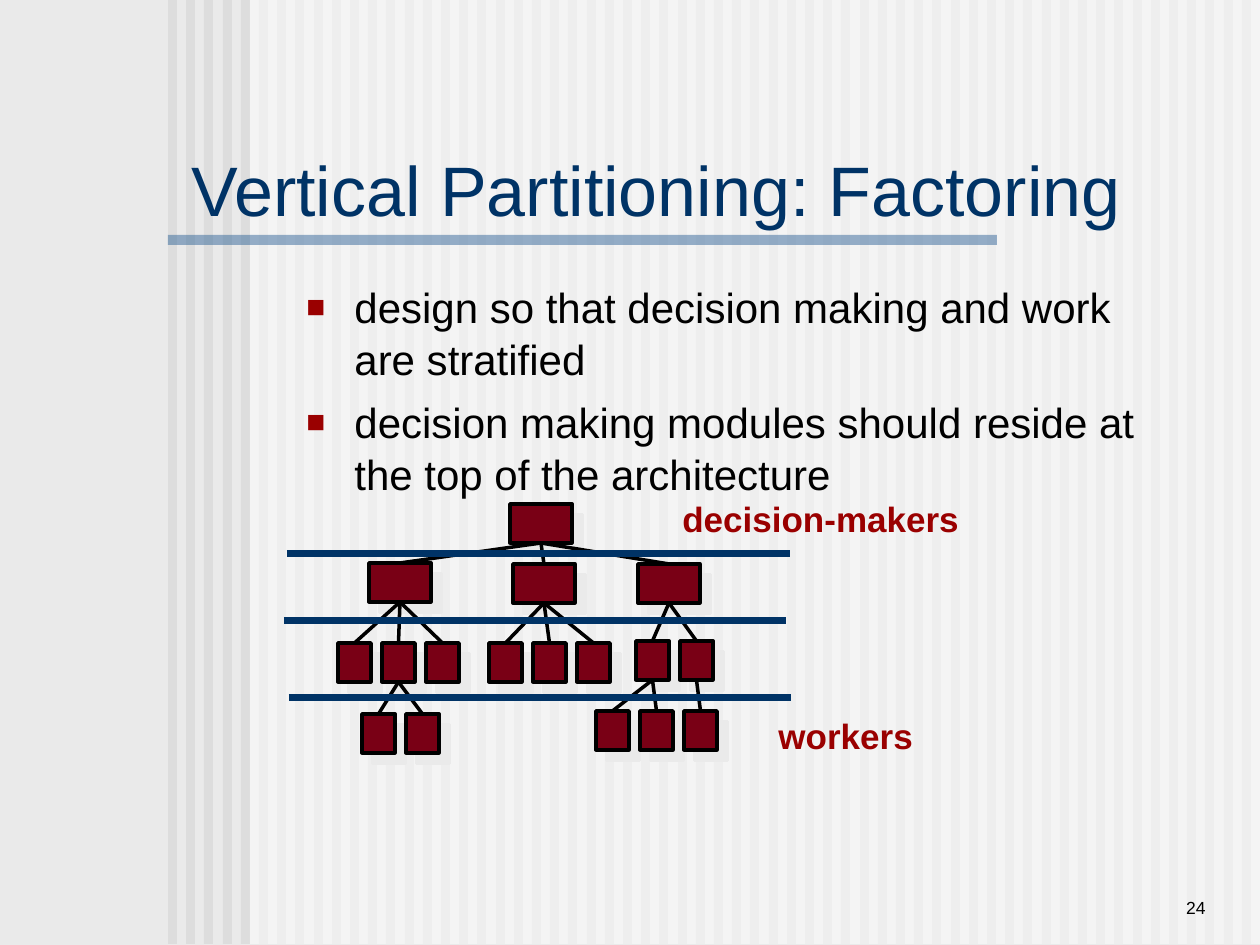
from dataclasses import dataclass

import lxml.etree
import pptx
import pptx.dml.color
import pptx.enum.shapes
import pptx.enum.text
import pptx.oxml.ns
import pptx.util
from pptx.dml.color import RGBColor

EMU_PER_PX = 914400 / 126
BACKGROUND = RGBColor(0xEA, 0xEA, 0xEA)
STRIPE = RGBColor(0xDD, 0xDD, 0xDD)
WHITE = RGBColor(0xFF, 0xFF, 0xFF)
BLACK = RGBColor(0x00, 0x00, 0x00)
NAVY = RGBColor(0x00, 0x33, 0x66)
STEEL = RGBColor(0x33, 0x66, 0x99)
RED = RGBColor(0x9A, 0x00, 0x00)
MAROON = RGBColor(0x79, 0x00, 0x15)

STRIPE_COUNT = 60
STRIPE_PITCH = 18.2
MODULE_HEIGHT = 39
MANAGER_WIDTH = 62
WORKER_WIDTH = 33
WORKER_PITCH = 44
BOTTOM, TOP = 2, 0

ALIGN = pptx.enum.text.PP_ALIGN
ANCHOR = pptx.enum.text.MSO_ANCHOR


@dataclass(frozen=True)
class Box:
    left: int
    top: int
    width: int
    height: int


@dataclass(frozen=True)
class Divider:
    left: int
    right: int
    y: int


@dataclass(frozen=True)
class WorkerRow:
    left: int
    top: int
    count: int


DIVIDERS = [Divider(284, 786, 621), Divider(289, 791, 698), Divider(287, 790, 554)]
ROOT = Box(510, 504, MANAGER_WIDTH, MODULE_HEIGHT)
MANAGERS = [
    Box(left, top, MANAGER_WIDTH, MODULE_HEIGHT)
    for left, top in ((369, 563), (513, 564), (638, 564))
]
TEAMS = [WorkerRow(338, 643, 3), WorkerRow(489, 643, 3), WorkerRow(636, 641, 2)]
LEFT_ASSISTANTS = WorkerRow(362, 714, 2)
RIGHT_ASSISTANTS = WorkerRow(596, 711, 3)


def px(length: float) -> int:
    return round(length * EMU_PER_PX)


def place(box: Box) -> tuple:
    return px(box.left), px(box.top), px(box.width), px(box.height)


def sub(parent, tag: str, **attributes):
    return lxml.etree.SubElement(parent, pptx.oxml.ns.qn(tag), attributes)


def add_rect(shapes, box: Box, color: RGBColor, opacity: int = 100):
    rect = shapes.add_shape(pptx.enum.shapes.MSO_SHAPE.RECTANGLE, *place(box))
    rect.shadow.inherit = False
    rect.fill.solid()
    rect.fill.fore_color.rgb = color
    rect.line.fill.background()
    if opacity < 100:
        fill_color = rect.element.spPr.find(".//" + pptx.oxml.ns.qn("a:srgbClr"))
        sub(fill_color, "a:alpha", val=str(opacity * 1000))
    return rect


def add_module(shapes, box: Box):
    module = add_rect(shapes, box, MAROON)
    module.line.color.rgb = BLACK
    module.line.width = pptx.util.Pt(2)
    effects = module.element.spPr.find(pptx.oxml.ns.qn("a:effectLst"))
    shadow = sub(effects, "a:outerShdw", blurRad="0", dist="107950",
                 dir="2700000", algn="ctr", rotWithShape="0")
    sub(shadow, "a:srgbClr", val=str(BACKGROUND))
    return module


def add_workers(shapes, row: WorkerRow) -> list:
    return [
        add_module(shapes, Box(row.left + i * WORKER_PITCH, row.top, WORKER_WIDTH, MODULE_HEIGHT))
        for i in range(row.count)
    ]


def add_line(shapes, divider: Divider, color: RGBColor, points: int):
    line = shapes.add_connector(
        pptx.enum.shapes.MSO_CONNECTOR.STRAIGHT,
        px(divider.left), px(divider.y), px(divider.right), px(divider.y),
    )
    line.line.color.rgb = color
    line.line.width = pptx.util.Pt(points)
    sub(line.element.spPr, "a:effectLst")
    return line


def link(shapes, parent, children: list) -> None:
    for child in children:
        edge = add_line(shapes, Divider(0, 1, 0), BLACK, 2)
        edge.begin_connect(parent, BOTTOM)
        edge.end_connect(child, TOP)


def add_bullet(paragraph) -> None:
    properties = paragraph._p.get_or_add_pPr()
    properties.set("marL", str(px(48)))
    properties.set("indent", str(-px(48)))
    sub(sub(properties, "a:buClr"), "a:srgbClr", val=str(RED))
    sub(properties, "a:buSzPct", val="75000")
    sub(properties, "a:buFont", typeface="Arial")
    sub(properties, "a:buChar", char="■")


def write(shape, text: str, *, size: int, color: RGBColor, bold: bool = False,
          align=ALIGN.LEFT, anchor=ANCHOR.TOP, wrap: bool = True,
          bullets: bool = False, spacing: float = 1.0, before: int = 0) -> None:
    frame = shape.text_frame
    frame.text = text
    frame.word_wrap = wrap
    frame.auto_size = pptx.enum.text.MSO_AUTO_SIZE.NONE
    frame.vertical_anchor = anchor
    for index, paragraph in enumerate(frame.paragraphs):
        if bullets:
            add_bullet(paragraph)
        paragraph.alignment = align
        paragraph.line_spacing = spacing
        paragraph.space_before = pptx.util.Pt(before if index else 0)
        paragraph.font.name = "Arial"
        paragraph.font.size = pptx.util.Pt(size)
        paragraph.font.bold = bold
        paragraph.font.color.rgb = color


def draw_backdrop(slide) -> None:
    slide.background.fill.solid()
    slide.background.fill.fore_color.rgb = BACKGROUND
    backdrop = slide.shapes.add_group_shape().shapes
    for i in range(STRIPE_COUNT):
        add_rect(backdrop, Box(168 + round(i * STRIPE_PITCH), 0, 9, 944), STRIPE)
    add_rect(backdrop, Box(250, 0, 1010, 944), WHITE, opacity=50)
    add_rect(backdrop, Box(168, 235, 829, 10), STEEL, opacity=50)


def draw_hierarchy(shapes) -> None:
    root = add_module(shapes, ROOT)
    managers = [add_module(shapes, box) for box in MANAGERS]
    teams = [add_workers(shapes, row) for row in TEAMS]
    left_assistants = add_workers(shapes, LEFT_ASSISTANTS)
    right_assistants = add_workers(shapes, RIGHT_ASSISTANTS)
    link(shapes, root, managers)
    for manager, team in zip(managers, teams):
        link(shapes, manager, team)
    link(shapes, teams[0][1], left_assistants)
    link(shapes, teams[2][0], right_assistants[:2])
    link(shapes, teams[2][1], right_assistants[2:])
    for divider in DIVIDERS:
        add_line(shapes, divider, NAVY, 4)


def main() -> None:
    deck = pptx.Presentation()
    deck.slide_width, deck.slide_height = px(1260), px(945)
    slide = deck.slides.add_slide(deck.slide_layouts.get_by_name("Title Only"))
    shapes = slide.shapes
    draw_backdrop(slide)

    title = shapes.title
    title.left, title.top, title.width, title.height = place(Box(179, 147, 987, 83))
    title.element.getparent().append(title.element)
    write(title, "Vertical Partitioning: Factoring", size=40, color=NAVY, anchor=ANCHOR.MIDDLE)

    principles = shapes.add_textbox(*place(Box(294, 273, 862, 248)))
    write(principles,
          "design so that decision making and work are stratified\n"
          "decision making modules should reside at the top of the architecture",
          size=24, color=BLACK, bullets=True, spacing=1.04, before=6)

    draw_hierarchy(shapes)

    workers_label = shapes.add_textbox(*place(Box(766, 708, 160, 54)))
    write(workers_label, "workers", size=20, color=RED, bold=True, wrap=False)
    makers_label = shapes.add_textbox(*place(Box(670, 491, 302, 54)))
    write(makers_label, "decision-makers", size=20, color=RED, bold=True, wrap=False)
    page_number = shapes.add_textbox(*place(Box(1040, 861, 178, 63)))
    write(page_number, "24", size=10, color=BLACK, align=ALIGN.RIGHT, anchor=ANCHOR.BOTTOM)

    deck.save("out.pptx")


if __name__ == "__main__":
    main()
